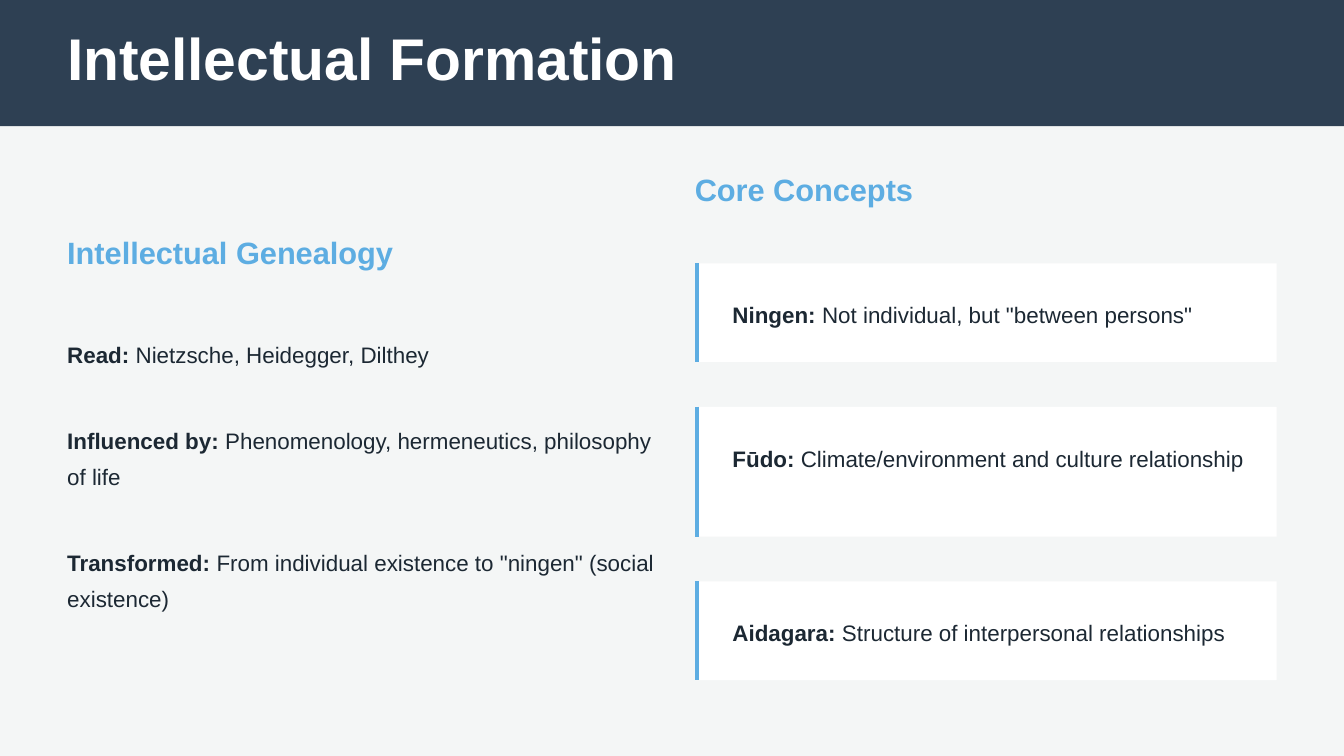
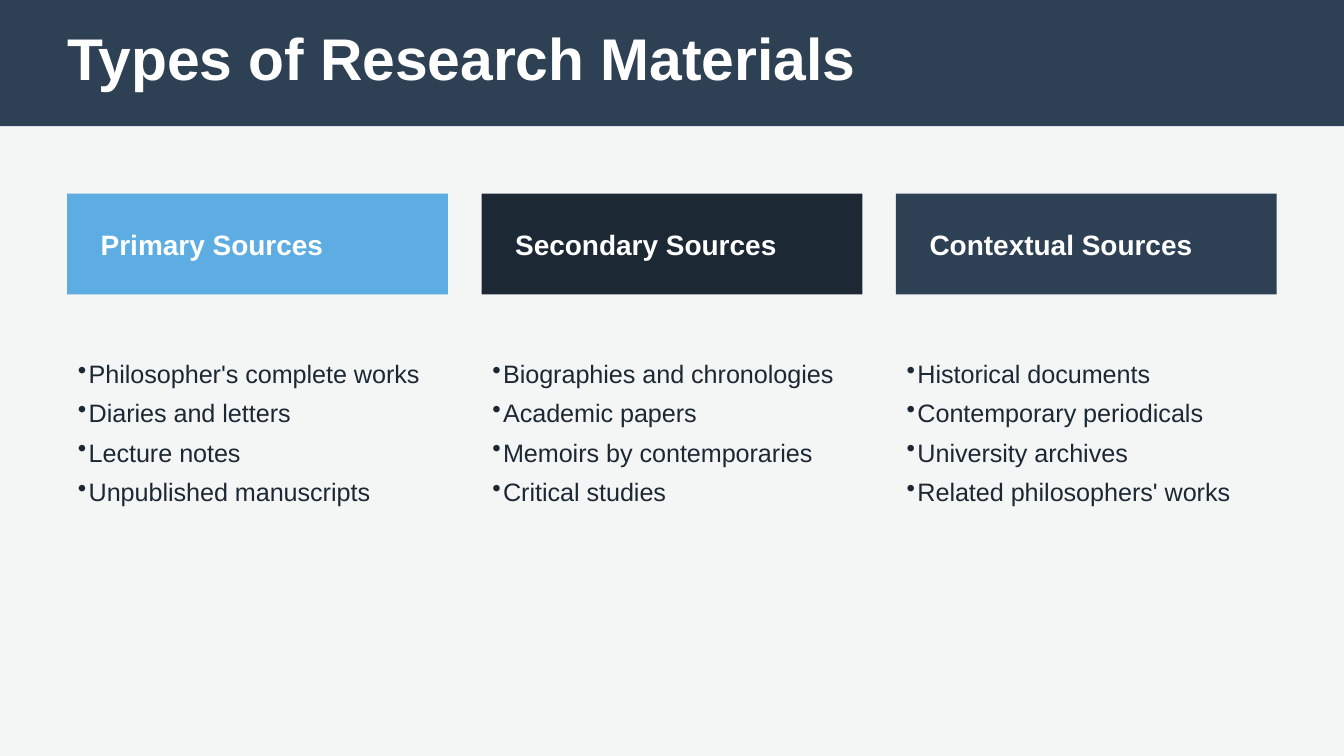
import pptx
import pptx.util
import pptx.dml.color
import pptx.enum.shapes
import pptx.enum.text
import pptx.oxml
import pptx.oxml.ns
from dataclasses import dataclass

Inches, Pt = pptx.util.Inches, pptx.util.Pt


@dataclass(frozen=True)
class Theme:
    font: str = "Arial"
    page: str = "F4F6F6"
    navy: str = "2E4053"
    dark: str = "1C2833"
    blue: str = "5DADE2"
    white: str = "FFFFFF"
    # Type sizes as (size, line height) in points
    title: tuple = (31.5, 31.5)
    head: tuple = (16.5, 19.8)
    note: tuple = (12, 19.2)
    card: tuple = (12, 16.8)
    label: tuple = (15, 18)
    item: tuple = (13.5, 21)


THEME = Theme()
WIDE, HIGH, EDGE = 10, 5.625, 0.5

NOTES = [
    ("Read:", " Nietzsche, Heidegger, Dilthey", 1),
    ("Influenced by:", " Phenomenology, hermeneutics, philosophy of life", 2),
    ("Transformed:", ' From individual existence to "ningen" (social existence)', 2),
]
CARDS = [
    ("Ningen:", ' Not individual, but "between persons"', 1),
    ("Fūdo:", " Climate/environment and culture relationship", 2),
    ("Aidagara:", " Structure of interpersonal relationships", 1),
]
SOURCES = [
    ("Primary Sources", THEME.blue,
     ["Philosopher's complete works", "Diaries and letters",
      "Lecture notes", "Unpublished manuscripts"]),
    ("Secondary Sources", THEME.dark,
     ["Biographies and chronologies", "Academic papers",
      "Memoirs by contemporaries", "Critical studies"]),
    ("Contextual Sources", THEME.navy,
     ["Historical documents", "Contemporary periodicals",
      "University archives", "Related philosophers' works"]),
]


def rgb(code):
    return pptx.dml.color.RGBColor.from_string(code)


def set_frame(frame):
    frame.word_wrap = True
    frame.auto_size = pptx.enum.text.MSO_AUTO_SIZE.NONE
    frame.vertical_anchor = pptx.enum.text.MSO_ANCHOR.TOP
    frame.margin_left = frame.margin_right = 0
    frame.margin_top = frame.margin_bottom = 0


def set_style(para, style, color, bold=None):
    size, lead = style
    para.font.name = THEME.font
    para.font.size = Pt(size)
    para.font.color.rgb = rgb(color)
    para.font.bold = bold
    para.line_spacing = Pt(lead)
    para.alignment = pptx.enum.text.PP_ALIGN.LEFT


def add_text(slide, box):
    frame = slide.shapes.add_textbox(*map(Inches, box)).text_frame
    set_frame(frame)
    return frame


def add_head(slide, box, text, style, color):
    para = add_text(slide, box).paragraphs[0]
    para.text = text
    set_style(para, style, color, True)
    return para


def add_term(slide, box, term, text, style):
    """Bold term followed by its plain explanation."""
    para = add_text(slide, box).paragraphs[0]
    set_style(para, style, THEME.dark)
    for part, bold in ((term, True), (text, False)):
        run = para.add_run()
        run.text = part
        run.font.bold = bold
    return para


def add_rect(slide, box, color):
    rect = slide.shapes.add_shape(
        pptx.enum.shapes.MSO_SHAPE.RECTANGLE, *map(Inches, box))
    rect.shadow.inherit = False
    rect.fill.solid()
    rect.fill.fore_color.rgb = rgb(color)
    rect.line.fill.background()
    return rect


def add_rule(slide, x, top, end):
    line = slide.shapes.add_connector(
        pptx.enum.shapes.MSO_CONNECTOR.STRAIGHT,
        Inches(x), Inches(top), Inches(x), Inches(end))
    line.line.color.rgb = rgb(THEME.blue)
    line.line.width = Pt(2.25)
    props = line.element.find(pptx.oxml.ns.qn("p:spPr"))
    props.append(pptx.oxml.parse_xml(
        "<a:effectLst %s/>" % pptx.oxml.ns.nsdecls("a")))


def add_bullet(para):
    props = para._p.get_or_add_pPr()
    props.set("marL", str(Inches(0.08)))
    props.set("indent", str(Inches(-0.08)))
    props.append(pptx.oxml.parse_xml(
        '<a:buChar %s char="•"/>' % pptx.oxml.ns.nsdecls("a")))


def add_page(deck, text):
    """Slide with its background, band and title."""
    slide = deck.slides.add_slide(deck.slide_layouts[5])
    slide.background.fill.solid()
    slide.background.fill.fore_color.rgb = rgb(THEME.page)
    title = slide.shapes.title
    band = add_rect(slide, (0, 0, WIDE, 0.94), THEME.navy)
    title.element.addprevious(band.element)  # band lies behind the title
    title.left, title.top = Inches(EDGE), Inches(0.25)
    title.width, title.height = Inches(WIDE - 2 * EDGE), Inches(0.44)
    set_frame(title.text_frame)
    title.text_frame.text = text
    set_style(title.text_frame.paragraphs[0], THEME.title, THEME.white, True)
    return slide


def add_notes(slide, x, y, wide):
    head = add_head(slide, (x, y, wide, 0.27), "Intellectual Genealogy",
                    THEME.head, THEME.blue)
    head.space_after = Pt(18)
    top, gap = y + 0.73, 0.375
    for term, text, rows in NOTES:
        high = rows * THEME.note[1] / 72
        para = add_term(slide, (x, top, wide, high), term, text, THEME.note)
        para.space_before = Pt(3)
        top += high + gap


def add_cards(slide, x, y, wide):
    head = add_head(slide, (x, y, wide, 0.27), "Core Concepts",
                    THEME.head, THEME.blue)
    head.space_after = Pt(18)
    top, pad, gap = y + 0.69, 0.25, 1 / 3
    for term, text, rows in CARDS:
        inner = rows * THEME.card[1] / 72
        high = inner + 2 * pad
        add_rect(slide, (x, top, wide, high), THEME.white)
        add_rule(slide, x + 0.015, top, top + high)
        add_term(slide, (x + 0.28, top + pad, wide - 0.45, inner),
                 term, text, THEME.card)
        top += high + gap


def add_source(slide, x, y, wide, name, color, items):
    # Coloured heading
    add_rect(slide, (x, y, wide, 0.75), color)
    add_head(slide, (x + 0.25, y + 0.25, wide - 0.45, 0.25), name,
             THEME.label, THEME.white)
    # Bulleted list
    frame = add_text(slide, (x, y + 1.16, wide, 1.29))
    frame.margin_left = Inches(0.08)
    frame.text = "\n".join(items)
    for para in frame.paragraphs:
        set_style(para, THEME.item, THEME.dark)
        add_bullet(para)


def build_ideas(deck):
    slide = add_page(deck, "Intellectual Formation")
    add_notes(slide, EDGE, 1.74, 4.42)
    add_cards(slide, 5.17, 1.27, 4.33)


def build_types(deck):
    slide = add_page(deck, "Types of Research Materials")
    gap, count = 0.25, len(SOURCES)
    wide = (WIDE - 2 * EDGE - gap * (count - 1)) / count
    for col, source in enumerate(SOURCES):
        add_source(slide, EDGE + col * (wide + gap), 1.44, wide, *source)


def main():
    deck = pptx.Presentation()
    deck.slide_width, deck.slide_height = Inches(WIDE), Inches(HIGH)
    build_ideas(deck)
    build_types(deck)
    deck.save("out.pptx")


if __name__ == "__main__":
    main()
